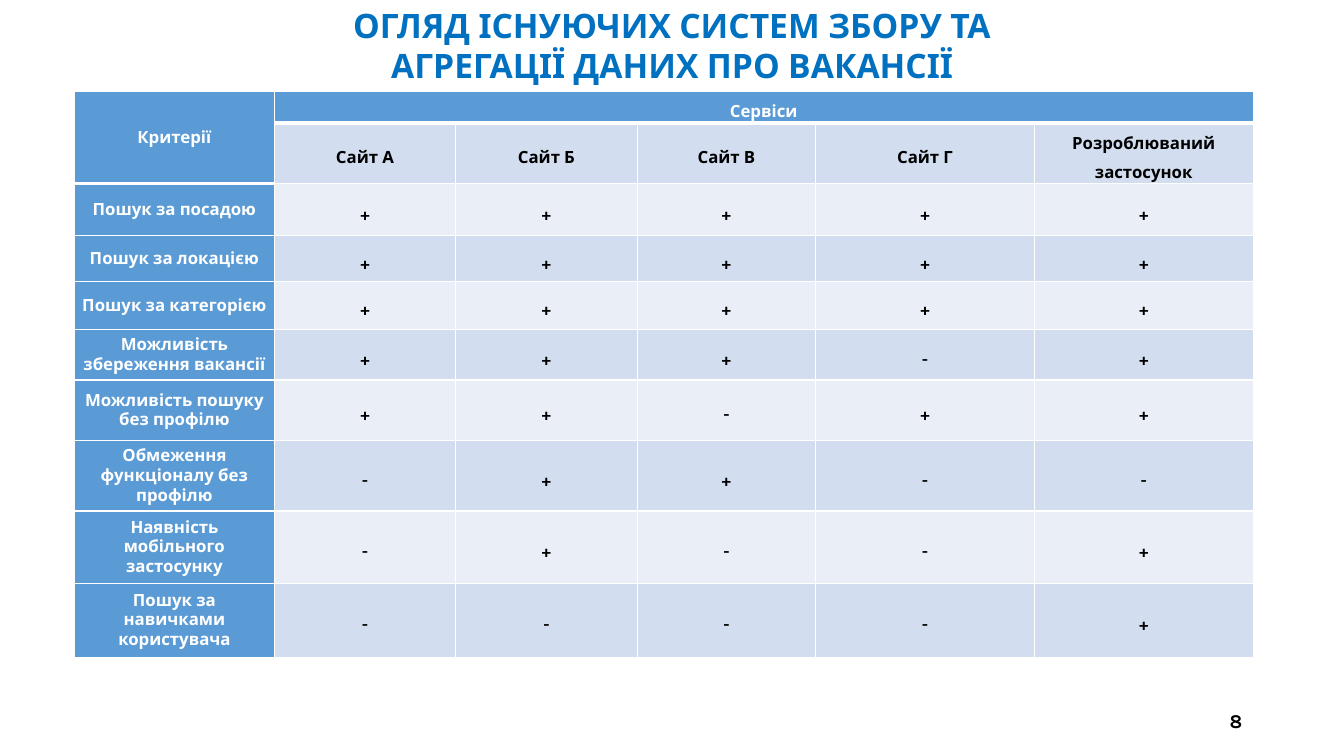
from lxml import etree
from pptx import Presentation
from pptx import util as u
from pptx.dml.color import RGBColor
from pptx.enum import text
from pptx.oxml import ns

TITLE = "ОГЛЯД ІСНУЮЧИХ СИСТЕМ ЗБОРУ ТА АГРЕГАЦІЇ ДАНИХ ПРО ВАКАНСІЇ"
PAGE_NUMBER = "8"
CORNER, GROUP = "Критерії", "Сервіси"
SERVICES = ["Сайт А", "Сайт Б", "Сайт В", "Сайт Г", "Розроблюваний застосунок"]
CRITERIA = [  # label, one mark per service
    ("Пошук за посадою", "+++++"),
    ("Пошук за локацією", "+++++"),
    ("Пошук за категорією", "+++++"),
    ("Можливість збереження вакансії", "+++-+"),
    ("Можливість пошуку без профілю", "++-++"),
    ("Обмеження функціоналу без профілю", "-++--"),
    ("Наявність мобільного застосунку", "-+--+"),
    ("Пошук за\nнавичками користувача", "----+"),
]
COLUMNS = [1.98, 1.8, 1.8, 1.77, 2.17, 2.17]
ROWS = [0.31, 0.58, 0.52, 0.45, 0.48, 0.5, 0.6, 0.7, 0.72, 0.73]
COLORS = {"title": "0070C0", "header": "5B9BD5", "dark_band": "D2DEEF",
          "light_band": "EAEFF7", "white": "FFFFFF", "black": "000000"}
FONT = "Karla"


def write(frame, content, size, color, align, spacing=1.0):
    """Fill a text frame with bold text, one paragraph per line of content."""
    for index, line in enumerate(content.split("\n")):
        paragraph = frame.add_paragraph() if index else frame.paragraphs[0]
        paragraph.alignment = align
        paragraph.line_spacing = spacing
        run = paragraph.add_run()
        run.text = line
        run.font.name = FONT
        run.font.size = u.Pt(size)
        run.font.bold = True
        run.font.color.rgb = RGBColor.from_string(COLORS[color])


def add_borders(cell, bottom):
    properties = cell._tc.get_or_add_tcPr()
    for side, width in (("L", 1), ("R", 1), ("T", 1), ("B", bottom)):
        line = etree.SubElement(properties, ns.qn(f"a:ln{side}"), w=str(u.Pt(width)))
        fill = etree.SubElement(line, ns.qn("a:solidFill"))
        etree.SubElement(fill, ns.qn("a:srgbClr"), val=COLORS["white"])


def format_cell(cell, content, row, column):
    is_header = row == 0 or column == 0
    cell.vertical_anchor = text.MSO_ANCHOR.MIDDLE
    cell.margin_left = cell.margin_right = u.Inches(0.07 if row == 2 else 0.05)
    cell.margin_top = cell.margin_bottom = 0
    add_borders(cell, 3 if row == 0 or (row == 1 and column == 0) else 1)
    band = "dark_band" if row % 2 else "light_band"
    cell.fill.solid()
    cell.fill.fore_color.rgb = RGBColor.from_string(COLORS["header" if is_header else band])
    if content:
        write(cell.text_frame, content, 12, "white" if is_header else "black",
              text.PP_ALIGN.CENTER, 1.5 if column else 1.0)


def add_comparison(slide):
    grid = [[CORNER, GROUP, "", "", "", ""], ["", *SERVICES]]
    grid += [[label, *marks] for label, marks in CRITERIA]
    table = slide.shapes.add_table(
        len(ROWS), len(COLUMNS), u.Inches(0.74), u.Inches(0.91),
        u.Inches(sum(COLUMNS)), u.Inches(sum(ROWS))).table
    for column, width in zip(table.columns, COLUMNS):
        column.width = u.Inches(width)
    for row, height in zip(table.rows, ROWS):
        row.height = u.Inches(height)
    for row, contents in enumerate(grid):
        for column, content in enumerate(contents):
            format_cell(table.cell(row, column), content, row, column)
    table.cell(0, 0).merge(table.cell(1, 0))
    table.cell(0, 1).merge(table.cell(0, len(SERVICES)))


def main():
    presentation = Presentation()
    presentation.slide_width, presentation.slide_height = u.Inches(13.33), u.Inches(7.5)
    slide = presentation.slides.add_slide(presentation.slide_layouts[5])

    title = slide.shapes.title
    title.left, title.top = u.Inches(2.77), 0
    title.width, title.height = u.Inches(7.79), u.Inches(0.91)
    title.text_frame.vertical_anchor = text.MSO_ANCHOR.TOP
    title.text_frame.auto_size = text.MSO_AUTO_SIZE.SHAPE_TO_FIT_TEXT
    write(title.text_frame, TITLE, 24, "title", text.PP_ALIGN.CENTER)

    add_comparison(slide)

    number = slide.shapes.add_textbox(u.Inches(9.42), u.Inches(6.95), u.Inches(3), u.Inches(0.4))
    number.text_frame.word_wrap = True
    number.text_frame.vertical_anchor = text.MSO_ANCHOR.MIDDLE
    write(number.text_frame, PAGE_NUMBER, 14, "black", text.PP_ALIGN.RIGHT)

    presentation.save("out.pptx")


if __name__ == "__main__":
    main()
